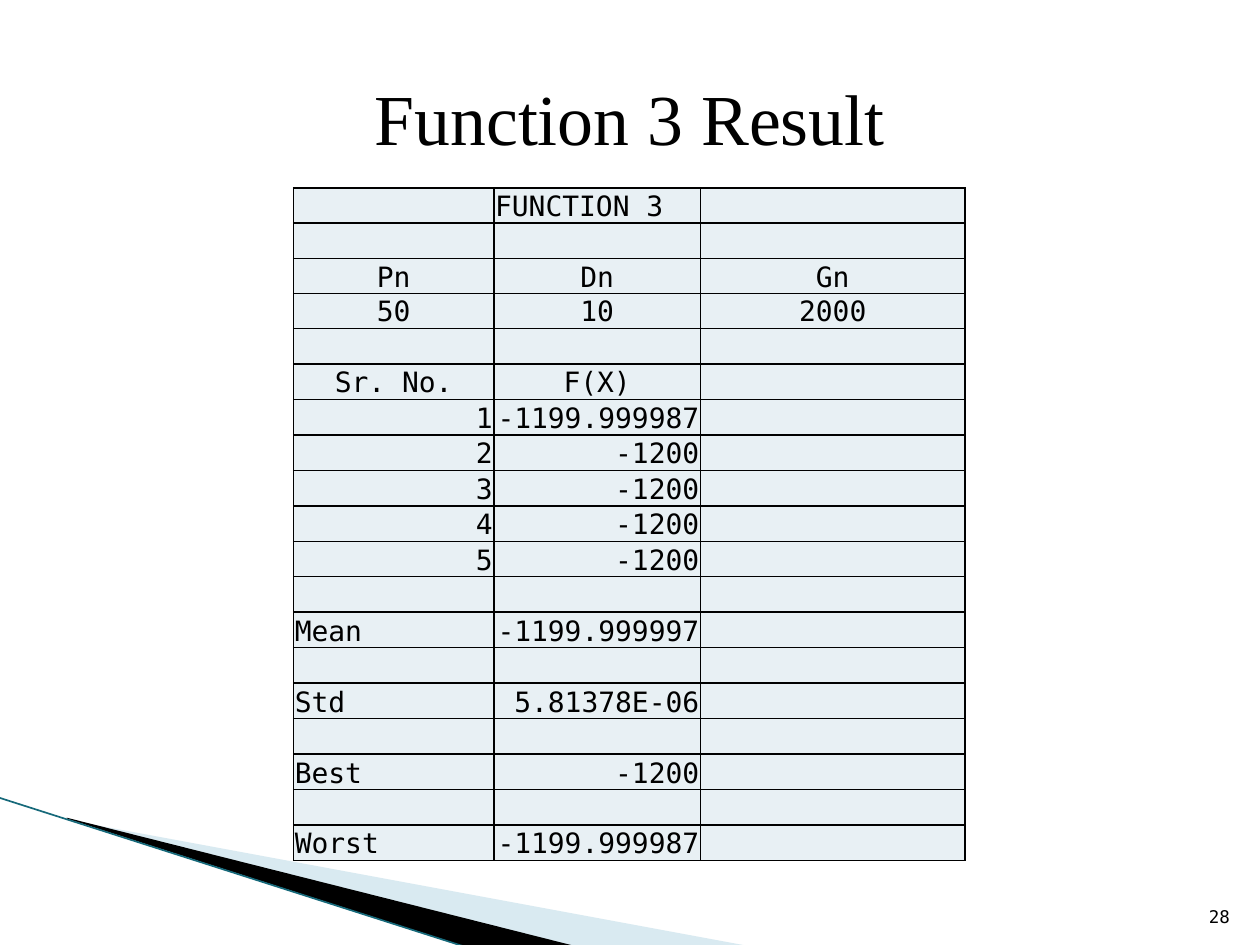
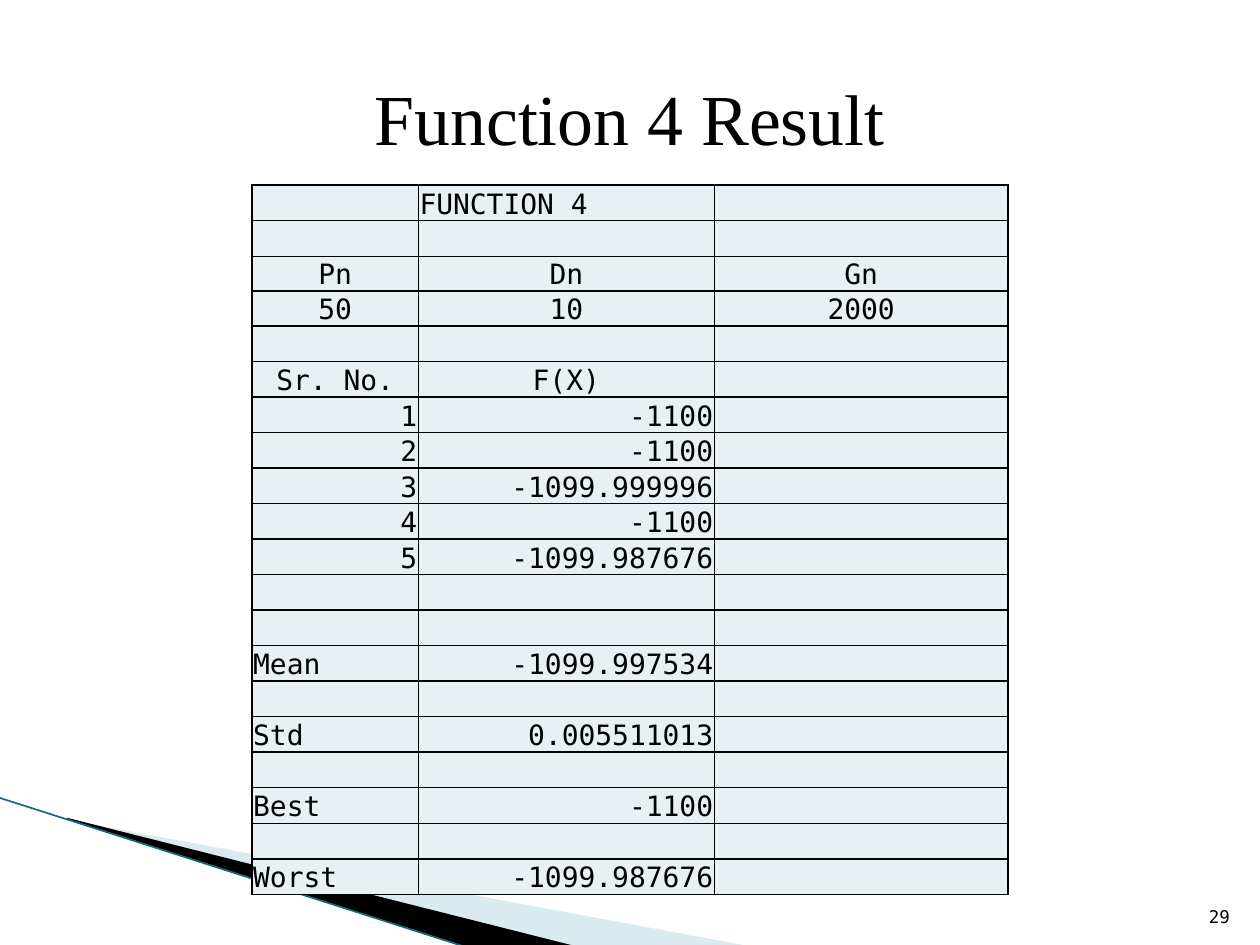
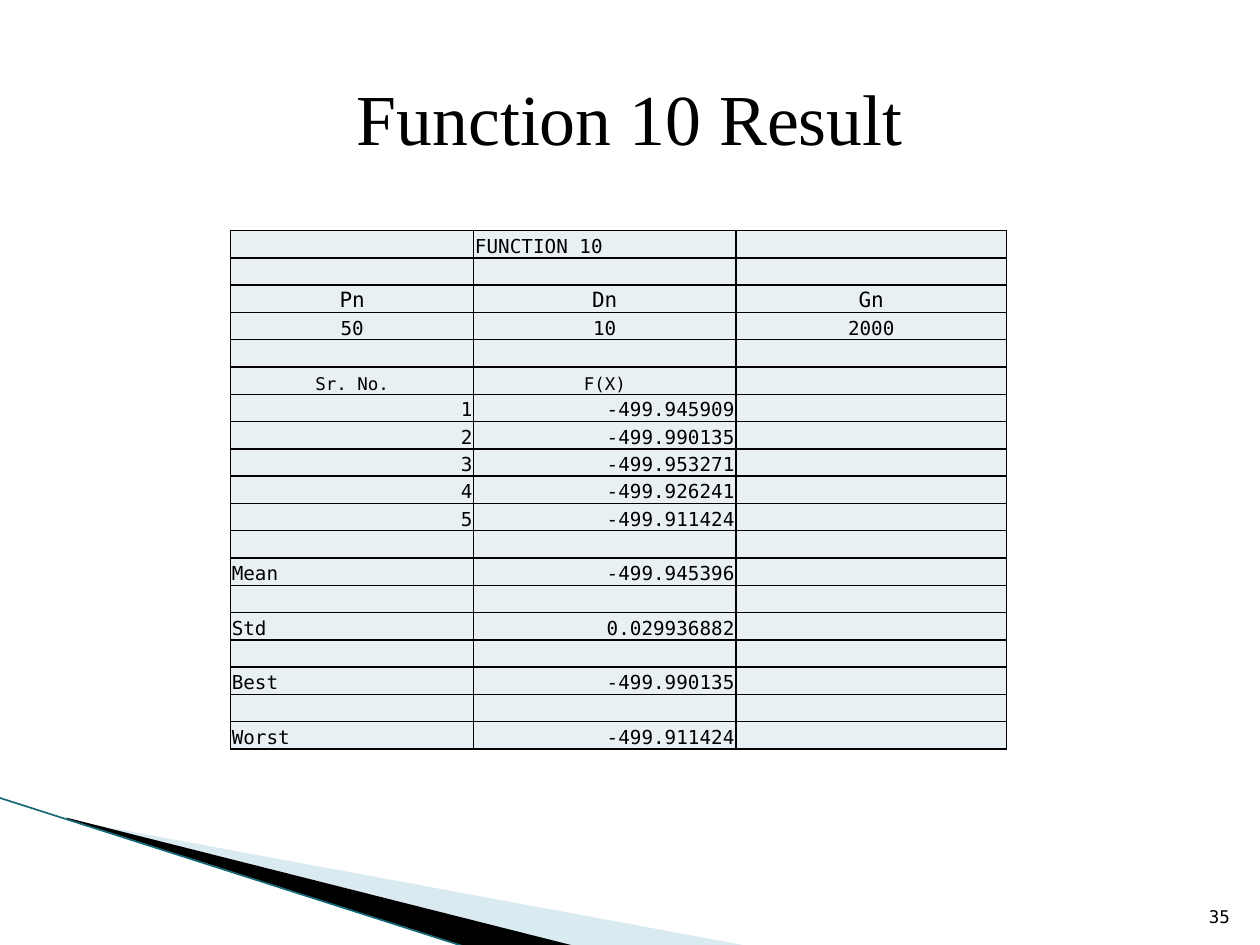
from dataclasses import dataclass

from lxml.etree import SubElement
from pptx import Presentation
from pptx.dml.color import RGBColor
from pptx.enum.text import MSO_ANCHOR, PP_ALIGN
from pptx.enum.shapes import MSO_CONNECTOR
from pptx.oxml.ns import qn
from pptx.util import Inches, Length, Pt

COLORS = {
    "ink": "000000",
    "cell": "E8F0F4",
    "pale_wedge": "A0CBDC",
    "dark_wedge": "000000",
    "edge": "16697A",
}
MONO = "DejaVu Sans Mono"
SERIF = "Times New Roman"
LABELS = ("Mean", "Std", "Best", "Worst")

prs = Presentation()
prs.slide_width, prs.slide_height = Inches(10), Inches(7.5)


@dataclass(frozen=True)
class Wedge:
    color: str
    points: tuple[tuple[float, float], ...]
    alpha: int = 100


@dataclass(frozen=True)
class Result:
    function: int
    page: int
    left: float
    top: float
    height: float
    full_row: float
    columns: tuple[float, float, float]
    values: tuple[str, ...]
    stats: tuple[str, str, str, str]
    gap: int = 1
    size: int = 16
    size_names: int = 16
    size_heads: int = 16


WEDGES = (
    Wedge("pale_wedge", ((5.5, 86.8), (59.5, 100.13), (45.6, 100.13), (5.5, 86.67)), 40),
    Wedge("dark_wedge", ((5.3, 86.53), (45.7, 100.13), (37.2, 100.27), (5.4, 86.67))),
)

RESULTS = (
    Result(3, 28, 23.3, 19.87, 71.07, 3.6, (15.9, 16.4, 21),
           ("-1199.999987", "-1200", "-1200", "-1200", "-1200"),
           ("-1199.999997", "5.81378E-06", "-1200", "-1199.999987")),
    Result(4, 29, 20, 19.6, 74.93, 3.6, (13.2, 23.5, 23.3),
           ("-1100", "-1100", "-1099.999996", "-1100", "-1099.987676"),
           ("-1099.997534", "0.005511013", "-1100", "-1099.987676"), gap=2),
    Result(10, 35, 18.3, 24.4, 54.93, 2.89, (19.3, 20.8, 21.5),
           ("-499.945909", "-499.990135", "-499.953271", "-499.926241", "-499.911424"),
           ("-499.945396", "0.029936882", "-499.990135", "-499.911424"),
           size=11, size_names=12, size_heads=10),
)


def across(percent: float) -> Length:
    return Length(round(prs.slide_width * percent / 100))


def down(percent: float) -> Length:
    return Length(round(prs.slide_height * percent / 100))


def rgb(name: str) -> RGBColor:
    return RGBColor.from_string(COLORS[name])


def write(tf, text: str, font: str, size: int, align) -> None:
    tf.text = text
    p = tf.paragraphs[0]
    p.alignment = align
    r = p.runs[0]
    r.font.name, r.font.size = font, Pt(size)
    r.font.color.rgb = rgb("ink")


def draw_wedge(s, wedge: Wedge) -> None:
    points = [(across(x), down(y)) for x, y in wedge.points]
    builder = s.shapes.build_freeform(*points[0], scale=1.0)
    builder.add_line_segments(points[1:], close=True)
    sp = builder.convert_to_shape()
    sp.shadow.inherit = False
    sp.fill.solid()
    sp.fill.fore_color.rgb = rgb(wedge.color)
    sp.line.fill.background()
    if wedge.alpha < 100:
        color = sp.fill._xPr.find(qn("a:solidFill"))[0]
        SubElement(color, qn("a:alpha"), val=str(wedge.alpha * 1000))


def draw_frame(s, title: str, page: int) -> None:
    for wedge in WEDGES:
        draw_wedge(s, wedge)
    edge = s.shapes.add_connector(
        MSO_CONNECTOR.STRAIGHT, across(-0.1), down(84.4), across(37.1), down(100.27))
    edge.line.color.rgb = rgb("edge")
    edge.line.width = Pt(0.95)
    SubElement(edge._element.spPr, qn("a:effectLst"))

    sp = s.shapes.add_textbox(across(94.6), down(93.47), across(4), down(5.33))
    tf = sp.text_frame
    tf.word_wrap = True
    tf.vertical_anchor = MSO_ANCHOR.BOTTOM
    write(tf, str(page), MONO, 10, PP_ALIGN.RIGHT)

    sp = s.shapes.title
    sp.left, sp.top = across(5), down(4)
    sp.width, sp.height = across(90), down(16.67)
    sp.text_frame.vertical_anchor = MSO_ANCHOR.MIDDLE
    write(sp.text_frame, title, SERIF, 41, PP_ALIGN.CENTER)


def table_rows(result: Result) -> list[tuple]:
    left, center, right = PP_ALIGN.LEFT, PP_ALIGN.CENTER, PP_ALIGN.RIGHT
    blank = ((), result.size, ())
    rows = [
        (("", f"FUNCTION {result.function}"), result.size, (left, left)),
        blank,
        (("Pn", "Dn", "Gn"), result.size_names, (center,) * 3),
        (("50", "10", "2000"), result.size, (center,) * 3),
        blank,
        (("Sr. No.", "F(X)"), result.size_heads, (center,) * 2),
    ]
    for number, value in enumerate(result.values, 1):
        rows.append(((str(number), value), result.size, (right, right)))
    rows += [blank] * (result.gap - 1)
    for label, value in zip(LABELS, result.stats):
        rows += [blank, ((label, value), result.size, (left, right))]
    return rows


def style_cell(cell) -> None:
    cell.margin_left = cell.margin_right = cell.margin_top = Inches(0.01)
    cell.margin_bottom = 0
    cell.vertical_anchor = MSO_ANCHOR.BOTTOM
    tc_pr = cell._tc.get_or_add_tcPr()
    for side in ("lnL", "lnR", "lnT", "lnB"):
        ln = SubElement(tc_pr, qn(f"a:{side}"), w=str(Pt(1)))
        fill = SubElement(ln, qn("a:solidFill"))
        SubElement(fill, qn("a:srgbClr"), val=COLORS["ink"])
    cell.fill.solid()
    cell.fill.fore_color.rgb = rgb("cell")


def draw_table(s, result: Result) -> None:
    rows = table_rows(result)
    table = s.shapes.add_table(
        len(rows), len(result.columns), across(result.left), down(result.top),
        across(sum(result.columns)), down(result.height)).table
    for column, width in zip(table.columns, result.columns):
        column.width = across(width)
    full = sum(len(texts) == 3 for texts, _, _ in rows)
    plain_row = (result.height - full * result.full_row) / (len(rows) - full)
    for i, (texts, size, aligns) in enumerate(rows):
        table.rows[i].height = down(result.full_row if len(texts) == 3 else plain_row)
        for j in range(len(result.columns)):
            cell = table.cell(i, j)
            style_cell(cell)
            if j < len(texts) and texts[j]:
                write(cell.text_frame, texts[j], MONO, size, aligns[j])
            else:
                p = cell.text_frame.paragraphs[0]
                p._p.get_or_add_endParaRPr().set("sz", "1000")


for result in RESULTS:
    s = prs.slides.add_slide(prs.slide_layouts[5])
    draw_frame(s, f"Function {result.function} Result", result.page)
    draw_table(s, result)

prs.save("out.pptx")
